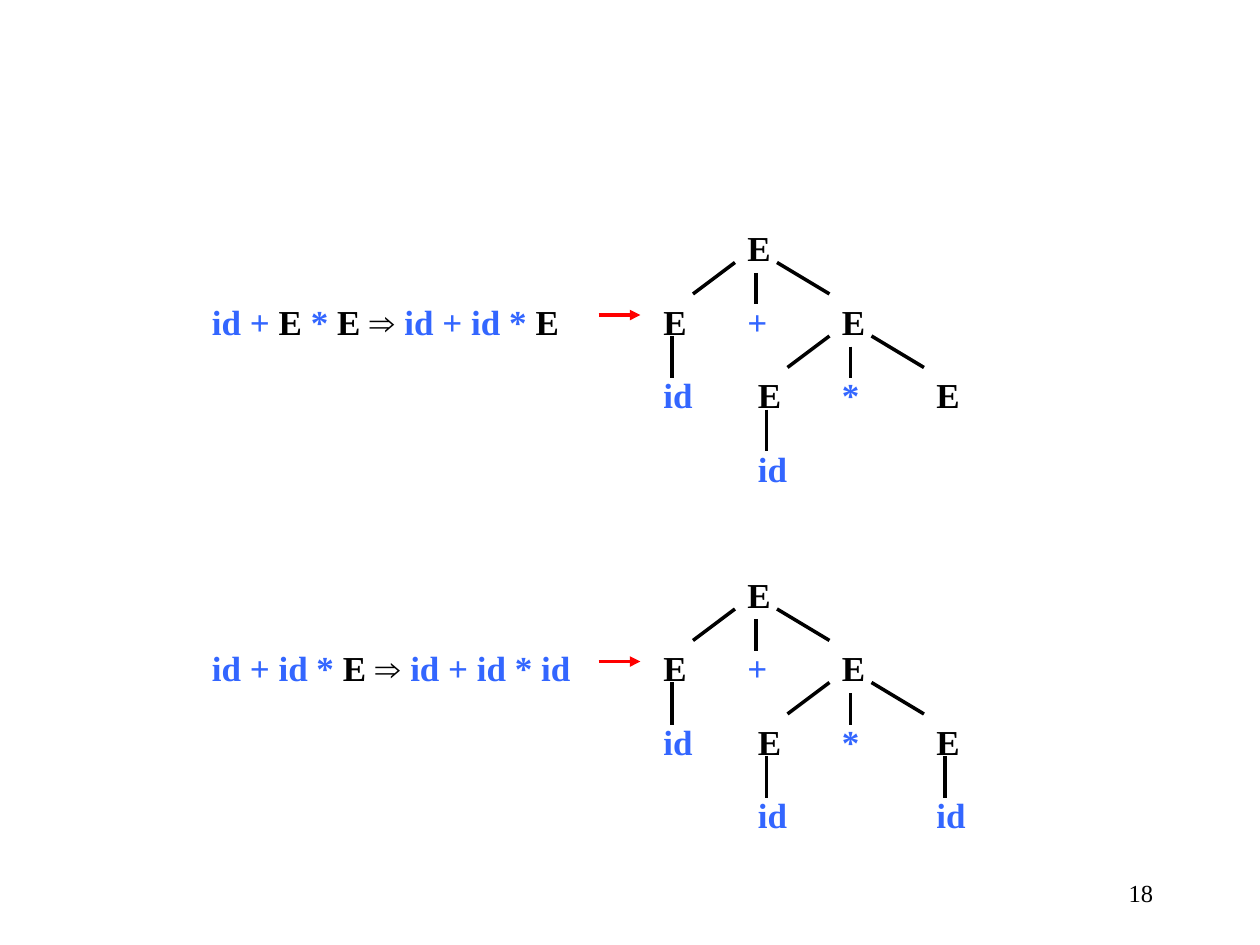
from dataclasses import dataclass
from itertools import groupby

from lxml import etree
from pptx import Presentation
from pptx import util as u
from pptx.dml.color import RGBColor
from pptx.enum import shapes, text
from pptx.oxml.ns import qn

BLACK = RGBColor(0x00, 0x00, 0x00)
BLUE = RGBColor(0x33, 0x66, 0xFF)
RED = RGBColor(0xFF, 0x00, 0x00)
SERIF, SANS = "Times New Roman", "Arial"

CELL = 1 / 12  # grid step in inches: the slide has 120 columns and 90 rows
LEVEL = 7  # rows between two levels of a tree
BOX_ROWS = 5.28


@dataclass(frozen=True)
class Node:
    """A tree symbol; level counts down from the root."""
    symbol: str
    column: int
    level: int
    forks: bool = False
    stem: bool = False


@dataclass(frozen=True)
class Derivation:
    expression: str
    top: int
    nodes: tuple[Node, ...]


def tree(last_expanded: bool) -> tuple[Node, ...]:
    nodes = (
        Node("E", 70, 0, forks=True),
        Node("E", 62, 1, stem=True),
        Node("+", 70, 1),
        Node("E", 79, 1, forks=True),
        Node("id", 62, 2),
        Node("E", 71, 2, stem=True),
        Node("*", 79, 2),
        Node("E", 88, 2, stem=last_expanded),
        Node("id", 71, 3),
    )
    return nodes + (Node("id", 88, 3),) if last_expanded else nodes


DERIVATIONS = (
    Derivation("id + E * E ⇒ id + id * E", 21, tree(last_expanded=False)),
    Derivation("id + id * E ⇒ id + id * id", 54, tree(last_expanded=True)),
)


def grid(count: float) -> u.Length:
    return u.Inches(count * CELL)


def style_of(token: str) -> tuple[str, RGBColor]:
    """Nonterminals and the arrow are black, terminals blue."""
    if token == "⇒":
        return SANS, BLACK
    return SERIF, BLACK if token == "E" else BLUE


def add_box(parent, column: float, row: float, columns: float, rows: float):
    box = parent.shapes.add_textbox(grid(column), grid(row), grid(columns), grid(rows))
    box.text_frame.word_wrap = True
    return box


def add_expression(parent, expression: str, column: int, row: int, columns: int) -> None:
    box = add_box(parent, column, row, columns, BOX_ROWS)
    box.text_frame.auto_size = text.MSO_AUTO_SIZE.SHAPE_TO_FIT_TEXT
    para = box.text_frame.paragraphs[0]
    para.font.size = u.Pt(20)
    para.font.bold = True
    tokens = expression.split(" ")
    pieces = [token + " " for token in tokens[:-1]] + tokens[-1:]
    for (font, color), same in groupby(pieces, lambda piece: style_of(piece.strip())):
        span = para.add_run()
        span.text = "".join(same)
        span.font.name = font
        span.font.color.rgb = color


def add_line(parent, start: tuple[int, int], end: tuple[int, int],
             color: RGBColor = BLACK, arrow: bool = False) -> None:
    ends = [grid(value) for value in start + end]
    line = parent.shapes.add_connector(shapes.MSO_CONNECTOR.STRAIGHT, *ends)
    line.line.color.rgb = color
    line.line.width = u.Pt(2)
    if arrow:
        etree.SubElement(line.line._get_or_add_ln(), qn("a:tailEnd"), type="triangle")
    etree.SubElement(line._element.spPr, qn("a:effectLst"))


def add_node(parent, node: Node, tree_top: int) -> None:
    x, y = node.column, tree_top + node.level * LEVEL
    add_expression(parent, node.symbol, x, y, 6 if node.symbol == "id" else 7)
    if node.forks:
        add_line(parent, (x - 4, y + 7), (x, y + 4))
        add_line(parent, (x + 2, y + 5), (x + 2, y + 8))
        add_line(parent, (x + 4, y + 4), (x + 9, y + 7))
    if node.stem:
        add_line(parent, (x + 2, y + 4), (x + 2, y + 8))


def add_derivation(page, derivation: Derivation) -> None:
    group = page.shapes.add_group_shape()
    top = derivation.top
    add_expression(group, derivation.expression, 19, top + LEVEL, 38)
    add_line(group, (57, top + 9), (61, top + 9), RED, arrow=True)
    for node in derivation.nodes:
        add_node(group, node, top)


def add_page_number(page, number: int) -> None:
    box = add_box(page, 86, 82, 25, 6)
    box.text_frame.vertical_anchor = text.MSO_ANCHOR.MIDDLE
    para = box.text_frame.paragraphs[0]
    para.text = str(number)
    para.alignment = text.PP_ALIGN.RIGHT
    para.font.name = SERIF
    para.font.size = u.Pt(14)
    para.font.color.rgb = BLACK


def main() -> None:
    deck = Presentation()
    deck.slide_width, deck.slide_height = grid(120), grid(90)
    page = deck.slides.add_slide(deck.slide_layouts[6])
    add_page_number(page, 18)
    for derivation in DERIVATIONS:
        add_derivation(page, derivation)
    deck.save("out.pptx")


if __name__ == "__main__":
    main()
